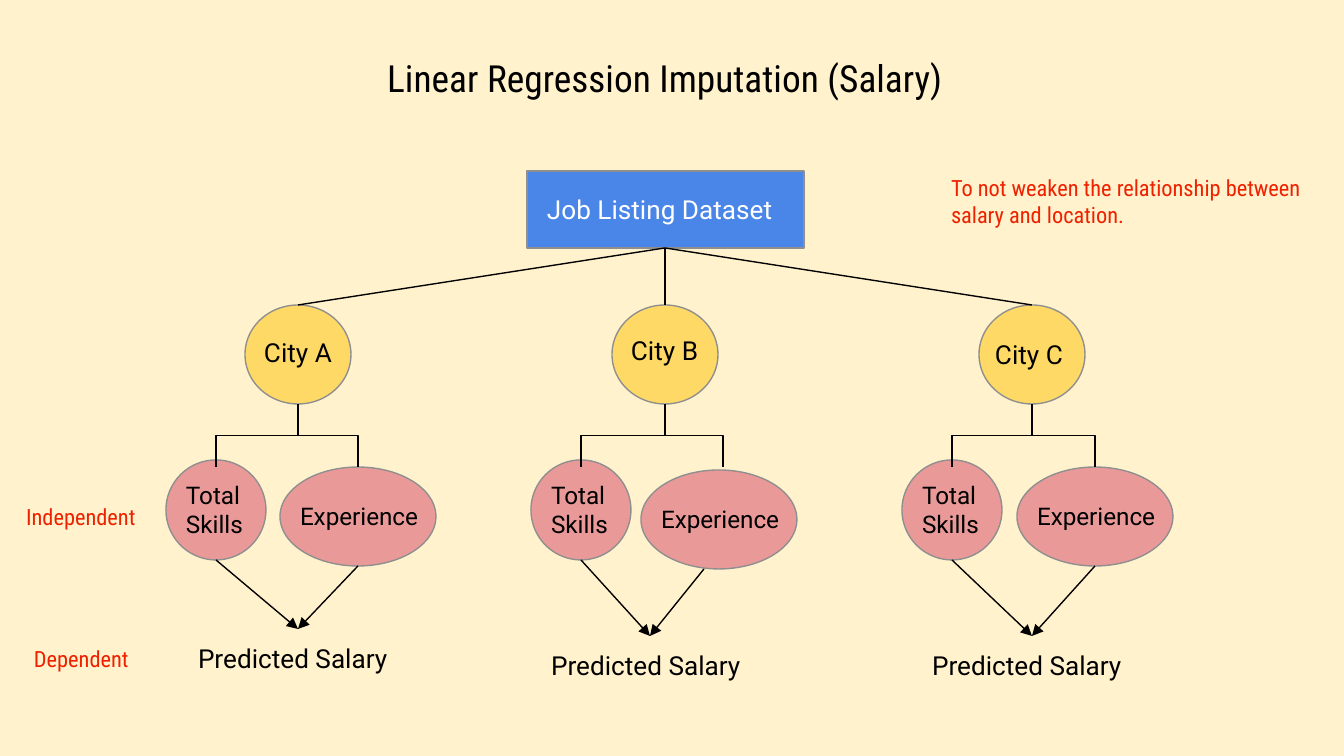
from lxml.etree import SubElement
from pptx import Presentation
from pptx.dml.color import RGBColor
from pptx.enum.shapes import MSO_CONNECTOR, MSO_SHAPE
from pptx.enum.text import MSO_AUTO_SIZE, PP_ALIGN
from pptx.oxml.ns import qn
from pptx.util import Emu, Pt

CREAM = RGBColor(0xFF, 0xF2, 0xCC)
GOLD = RGBColor(0xFF, 0xD9, 0x66)
PINK = RGBColor(0xEA, 0x99, 0x99)
BLUE = RGBColor(0x4A, 0x86, 0xE8)
GRAY = RGBColor(0x8F, 0x8F, 0x8F)
RED = RGBColor(0xEE, 0x21, 0x00)
BLACK = RGBColor(0, 0, 0)
WHITE = RGBColor(255, 255, 255)
SANS = "Roboto"
SLIM = "Roboto Condensed"
UNIT = 914400 / 134.4

TITLE = "Linear Regression Imputation (Salary)"
ROOT = "Job Listing Dataset"
NOTES = [
    ("To not weaken the relationship between salary and location.", (938, 161, 379, 82)),
    ("Independent", (13, 490, 143, 54)),
    ("Dependent", (21, 632, 129, 54)),
]
SKILL, YEARS, RESULT = "Total Skills", "Experience", "Predicted Salary"
CITIES = [
    dict(name="City A", label=(251, 323), skill=216, years=(358, 467),
         fork=358, start=358, result=185, goal=(298, 629)),
    dict(name="City B", label=(618, 321), skill=581, years=(719, 470),
         fork=723, start=704, result=538, goal=(650, 636)),
    dict(name="City C", label=(982, 325), skill=952, years=(1095, 467),
         fork=1095, start=1095, result=919, goal=(1032, 636)),
]
MID, STEP = 665, 367
BASE, TOP, DROP = 248, 305, 404


def px(n):
    return Emu(round(n * UNIT))


deck = Presentation()
deck.slide_width, deck.slide_height = px(1344), px(756)
slide = deck.slides.add_slide(deck.slide_layouts[6])
slide.background.fill.solid()
slide.background.fill.fore_color.rgb = CREAM


def write(text, box, size=14, font=SANS, color=BLACK, align=PP_ALIGN.LEFT):
    frame = slide.shapes.add_textbox(*map(px, box)).text_frame
    frame.word_wrap = True
    frame.auto_size = MSO_AUTO_SIZE.SHAPE_TO_FIT_TEXT
    frame.margin_left = frame.margin_right = px(13)
    frame.margin_top = frame.margin_bottom = px(13)
    par = frame.paragraphs[0]
    par.alignment = align
    run = par.add_run()
    run.text = text
    run.font.size, run.font.name = Pt(size), font
    run.font.color.rgb = color


def draw(kind, box, fill):
    shape = slide.shapes.add_shape(kind, *map(px, box))
    shape.shadow.inherit = False
    shape.fill.solid()
    shape.fill.fore_color.rgb = fill
    shape.line.color.rgb = GRAY
    shape.line.width = Pt(0.75)


def link(start, end, kind=MSO_CONNECTOR.STRAIGHT, arrow=False):
    line = slide.shapes.add_connector(kind, *map(px, start + end))
    line.line.color.rgb = BLACK
    line.line.width = Pt(0.75)
    prop = line.element.spPr
    if arrow:
        SubElement(prop.find(qn("a:ln")), qn("a:tailEnd"), type="triangle")
    SubElement(prop, qn("a:effectLst"))
    return line


def bend(start, end):
    (x, y), (u, v) = start, end
    side = 1 if u > x else -1
    cx, cy = (x + u) / 2, (y + v) / 2
    long, wide = (v - y) / 2 * side, abs(u - x) / 2
    line = link((cx + long, cy - wide), (cx - long, cy + wide), MSO_CONNECTOR.ELBOW)
    turn = 270 if side > 0 else 90
    line.element.spPr.find(qn("a:xfrm")).set("rot", str(turn * 60000))


write(TITLE, (366, 42, 598, 73), size=20, font=SLIM, align=PP_ALIGN.CENTER)
draw(MSO_SHAPE.RECTANGLE, (527, 171, 277, 77), BLUE)
write(ROOT, (534, 180, 263, 59), color=WHITE)
for text, box in NOTES:
    write(text, box, size=12, font=SLIM, color=RED)

for i, city in enumerate(CITIES):
    mid = MID + (i - 1) * STEP
    skill, (years, top), goal = city["skill"], city["years"], city["goal"]
    draw(MSO_SHAPE.OVAL, (mid - 53, TOP, 106, 99), GOLD)
    write(city["name"], (*city["label"], 100, 59))
    draw(MSO_SHAPE.OVAL, (skill - 50, 460, 100, 100), PINK)
    write(SKILL, (skill - 43, 467, 86, 86), size=13)
    draw(MSO_SHAPE.OVAL, (years - 78, top, 156, 99), PINK)
    write(YEARS, (years - 75, top + 21, 152, 57), size=13, align=PP_ALIGN.CENTER)
    write(RESULT, (city["result"], goal[1], 224, 59))
    link((MID, BASE), (mid, TOP))
    bend((mid, DROP), (skill, 467))
    bend((mid, DROP), (city["fork"], 467))
    link((skill, 560), goal, arrow=True)
    link((city["start"], top + 99), goal, arrow=True)

deck.save("out.pptx")
